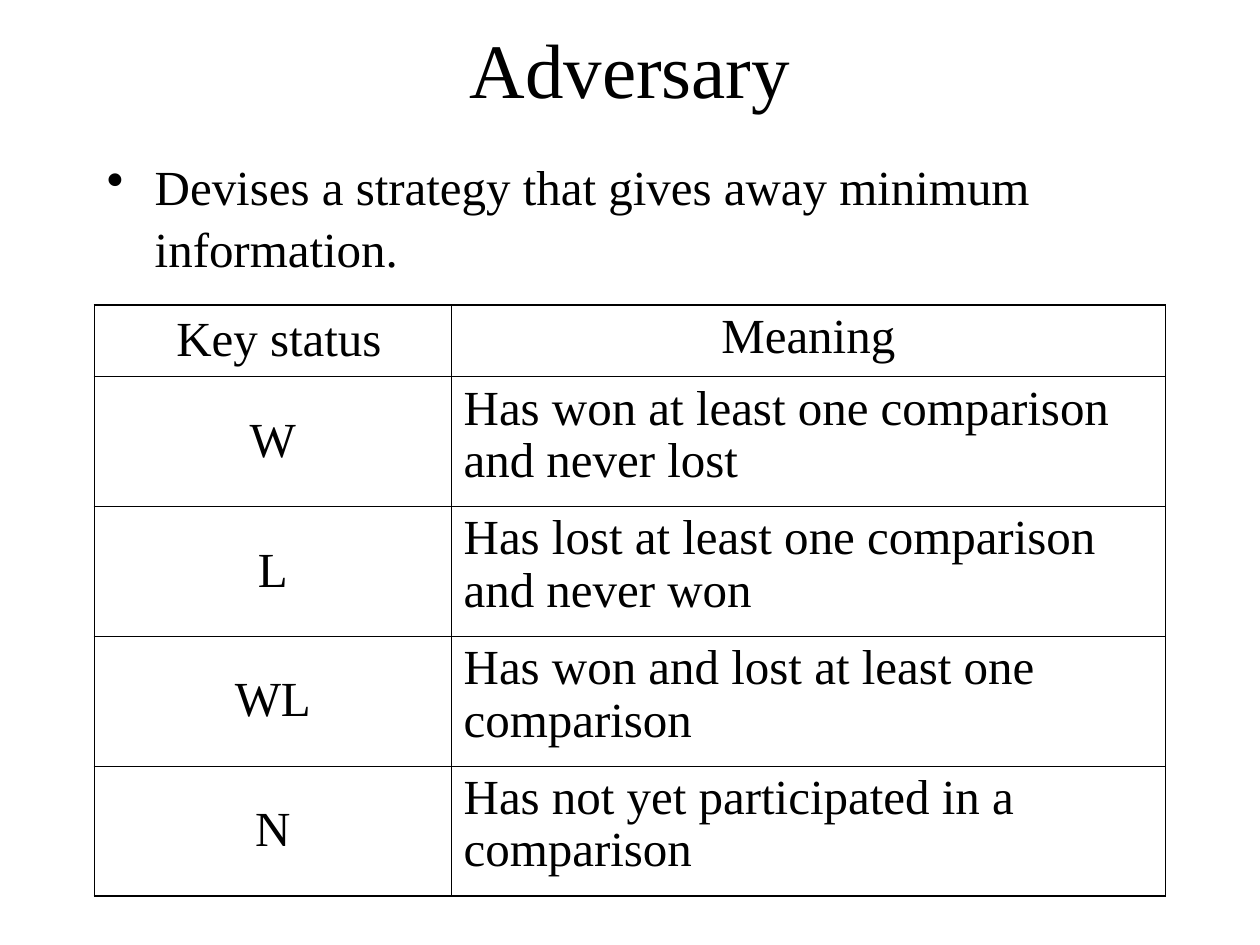
from dataclasses import dataclass

from lxml import etree
from pptx import Presentation
from pptx.dml.color import RGBColor
from pptx.enum.text import MSO_ANCHOR, PP_ALIGN
from pptx.oxml.ns import qn
from pptx.util import Inches, Pt

LEFT, CENTER = PP_ALIGN.LEFT, PP_ALIGN.CENTER
TOP, MIDDLE = MSO_ANCHOR.TOP, MSO_ANCHOR.MIDDLE
TITLE_ONLY = 5


@dataclass(frozen=True)
class Theme:
    font: str = "Times New Roman"
    ink: str = "000000"
    paper: str = "FFFFFF"
    title_size: int = 44
    body_size: int = 28
    outer_line: float = 1.08
    inner_line: float = 0.45


class SlideBuilder:
    def __init__(self, presentation, theme):
        self.theme = theme
        self.slide = presentation.slides.add_slide(presentation.slide_layouts[TITLE_ONLY])
        background = self.slide.background.fill
        background.solid()
        background.fore_color.rgb = RGBColor.from_string(theme.paper)

    def set_text(self, paragraph, text, size, alignment=LEFT, line_spacing=1.0):
        paragraph.text = text
        paragraph.alignment = alignment
        paragraph.line_spacing = line_spacing
        paragraph.space_before = Pt(0)
        paragraph.font.name = self.theme.font
        paragraph.font.size = Pt(size)
        paragraph.font.color.rgb = RGBColor.from_string(self.theme.ink)

    def title(self, text, left, top, width, height):
        heading = self.slide.shapes.title
        heading.left, heading.top = Inches(left), Inches(top)
        heading.width, heading.height = Inches(width), Inches(height)
        heading.text_frame.vertical_anchor = MIDDLE
        self.set_text(heading.text_frame.paragraphs[0], text, self.theme.title_size, CENTER)

    def bullet(self, text, left, top, width, height, indent):
        box = self.slide.shapes.add_textbox(
            Inches(left), Inches(top), Inches(width), Inches(height))
        box.text_frame.word_wrap = True
        paragraph = box.text_frame.paragraphs[0]
        properties = paragraph._p.get_or_add_pPr()
        properties.set("marL", str(Inches(indent)))
        properties.set("indent", str(-Inches(indent)))
        etree.SubElement(properties, qn("a:buChar"), char="•")
        self.set_text(paragraph, text, self.theme.body_size, line_spacing=1.05)

    def borders(self, cell, widths):
        """Draw the left, right, top and bottom borders, in that order."""
        properties = cell._tc.get_or_add_tcPr()
        for position, (side, width) in enumerate(zip("LRTB", widths)):
            line = etree.Element(qn(f"a:ln{side}"), w=str(Pt(width)))
            fill = etree.SubElement(line, qn("a:solidFill"))
            etree.SubElement(fill, qn("a:srgbClr"), val=self.theme.ink)
            properties.insert(position, line)

    def table(self, rows, left, top, column_widths, row_heights):
        """Centre the header row and first column; the rest reads from the left."""
        table = self.slide.shapes.add_table(
            len(rows), len(column_widths), Inches(left), Inches(top),
            Inches(sum(column_widths)), Inches(sum(row_heights))).table
        table.first_row = table.horz_banding = False
        for column, width in zip(table.columns, column_widths):
            column.width = Inches(width)
        last_row, last_column = len(rows) - 1, len(column_widths) - 1
        for r, (texts, height) in enumerate(zip(rows, row_heights)):
            table.rows[r].height = Inches(height)
            for c, text in enumerate(texts):
                cell = table.cell(r, c)
                cell.fill.background()
                cell.vertical_anchor = MIDDLE if c == 0 else TOP
                alignment = CENTER if r == 0 or c == 0 else LEFT
                self.set_text(cell.text_frame.paragraphs[0], text,
                              self.theme.body_size, alignment, line_spacing=0.97)
                on_edge = (c == 0, c == last_column, r == 0, r == last_row)
                self.borders(cell, [self.theme.outer_line if edge else self.theme.inner_line
                                    for edge in on_edge])


def main():
    presentation = Presentation()
    presentation.slide_width, presentation.slide_height = Inches(10), Inches(7.5)
    builder = SlideBuilder(presentation, Theme())
    margin, content_width = 0.75, 8.5

    builder.title("Adversary", margin, 0, content_width, 1.08)
    builder.bullet("Devises a strategy that gives away minimum information.",
                   margin, 1.17, content_width, 3.17, indent=0.38)
    key_meanings = [
        (" Key status", "Meaning"),
        ("W", "Has won at least one comparison and never lost"),
        ("L", "Has lost at least one comparison and never won"),
        ("WL", "Has won and lost at least one comparison"),
        ("N", "Has not yet participated in a comparison"),
    ]
    builder.table(key_meanings, margin, 2.42,
                  column_widths=[2.83, 5.67], row_heights=[0.57] + [1.03] * 4)
    presentation.save("out.pptx")


if __name__ == "__main__":
    main()
